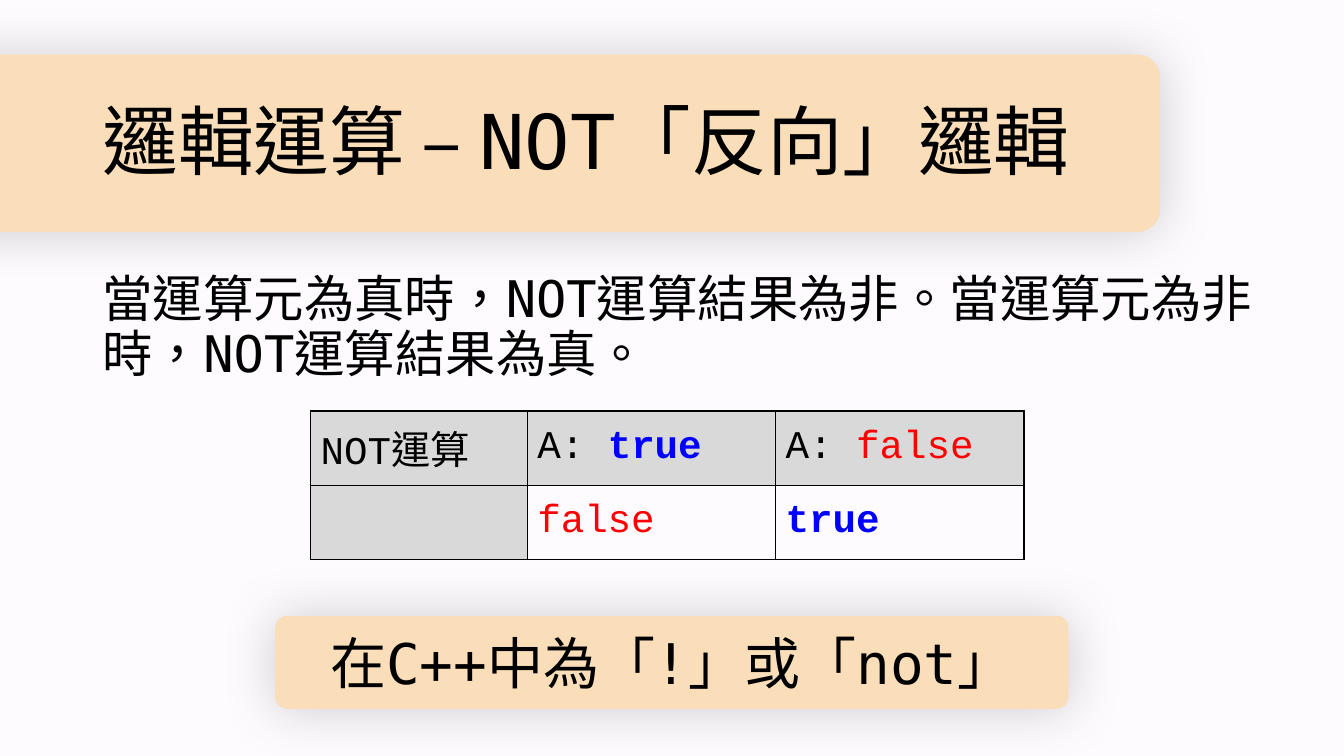
from lxml import etree
from pptx import Presentation
from pptx import util as u
from pptx.dml.color import RGBColor
from pptx.enum import lang, shapes, text
from pptx.oxml import parse_xml

COLORS = {"page": "FEFBFF", "banner": "F9DEB9", "ink": "000000",
          "header": "D9D9D9", "true": "0000FF", "false": "FF0000"}
MONO, CODE = "DejaVu Sans Mono", "Courier New"
NS = "http://schemas.openxmlformats.org/drawingml/2006/main"

TITLE = "邏輯運算 – NOT「反向」邏輯"
BODY = "當運算元為真時，NOT運算結果為非。當運算元為非時，NOT運算結果為真。"
SYNTAX = "在C++中為「!」或「not」"
TRUTH_ROWS = [
    [["NOT運算"], ["A: ", "true"], ["A: ", "false"]],
    [[], ["false"], ["true"]],
]

BANNER_BOX = (-113, 39, 941.7, 126.7)
TITLE_BOX = (66.2, 51.1, 828, 104.4)
BODY_BOX = (66.2, 192.2, 858.2, 294.5)
SYNTAX_BOX = (196.6, 439.9, 566.6, 66.4)
TABLE_LEFT, TABLE_TOP, ROW_HEIGHT = 221.8, 293.6, 52.9
COLUMN_WIDTHS = (154.8, 177.4, 177.4)


def points(values):
    return [u.Pt(v) for v in values]


def rgb(name):
    return RGBColor.from_string(COLORS[name])


def set_all(target, values):
    for name, value in values.items():
        setattr(target, name, value)


def add_run(p, words, font, size, color="ink", bold=False):
    r = p.add_run()
    r.text = words
    set_all(r.font, {"name": font, "size": u.Pt(size), "bold": bold,
                     "language_id": lang.MSO_LANGUAGE_ID.TRADITIONAL_CHINESE})
    r.font.color.rgb = rgb(color)


def write(sp, words, size, anchor, align, spacing):
    tf = sp.text_frame
    set_all(tf, {"word_wrap": True, "vertical_anchor": anchor})
    p = tf.paragraphs[0]
    set_all(p, {"alignment": align, "line_spacing": spacing})
    add_run(p, words, MONO, size)


def add_panel(s, box):
    sp = s.shapes.add_shape(shapes.MSO_SHAPE.ROUNDED_RECTANGLE, *points(box))
    sp.adjustments[0] = 0.128
    sp.fill.solid()
    sp.fill.fore_color.rgb = rgb("banner")
    sp.line.fill.background()
    sp.shadow.inherit = False
    effects = sp.element.spPr.find(f"{{{NS}}}effectLst")
    effects.append(parse_xml(
        f'<a:outerShdw xmlns:a="{NS}" blurRad="{u.Pt(38)}" dist="0" dir="0" '
        f'algn="ctr" rotWithShape="0"><a:srgbClr val="{COLORS["ink"]}">'
        '<a:alpha val="19000"/></a:srgbClr></a:outerShdw>'))
    return sp


def add_borders(cell):
    tc_pr = cell._tc.get_or_add_tcPr()
    for side in "LRTB":
        line = etree.SubElement(tc_pr, f"{{{NS}}}ln{side}", w=str(u.Pt(1)))
        fill = etree.SubElement(line, f"{{{NS}}}solidFill")
        etree.SubElement(fill, f"{{{NS}}}srgbClr", val=COLORS["ink"])


def add_truth_table(s):
    size = (sum(COLUMN_WIDTHS), ROW_HEIGHT * len(TRUTH_ROWS))
    table = s.shapes.add_table(len(TRUTH_ROWS), len(COLUMN_WIDTHS),
                               *points((TABLE_LEFT, TABLE_TOP) + size)).table
    set_all(table, {"first_row": False, "horz_banding": False})
    for column, width in zip(table.columns, COLUMN_WIDTHS):
        column.width = u.Pt(width)
    for i, row in enumerate(TRUTH_ROWS):
        table.rows[i].height = u.Pt(ROW_HEIGHT)
        for j, runs in enumerate(row):
            cell = table.cell(i, j)
            cell.vertical_anchor = text.MSO_ANCHOR.MIDDLE
            add_borders(cell)
            if i == 0 or j == 0:
                cell.fill.solid()
                cell.fill.fore_color.rgb = rgb("header")
            else:
                cell.fill.background()
            for words in runs:
                color = words if words in COLORS else "ink"
                add_run(cell.text_frame.paragraphs[0], words, CODE, 28,
                        color, words == "true")


def main():
    prs = Presentation()
    set_all(prs, {"slide_width": u.Pt(960), "slide_height": u.Pt(540)})
    s = prs.slides.add_slide(prs.slide_layouts[6])
    s.background.fill.solid()
    s.background.fill.fore_color.rgb = rgb("page")

    top, middle = text.MSO_ANCHOR.TOP, text.MSO_ANCHOR.MIDDLE
    left, center = text.PP_ALIGN.LEFT, text.PP_ALIGN.CENTER
    add_panel(s, BANNER_BOX)
    title = s.shapes.add_textbox(*points(TITLE_BOX))
    write(title, TITLE, 54, middle, left, 0.9)
    body = s.shapes.add_textbox(*points(BODY_BOX))
    write(body, BODY, 36, top, left, 0.9)
    add_truth_table(s)
    write(add_panel(s, SYNTAX_BOX), SYNTAX, 40, middle, center, 1.0)
    prs.save("out.pptx")


if __name__ == "__main__":
    main()
